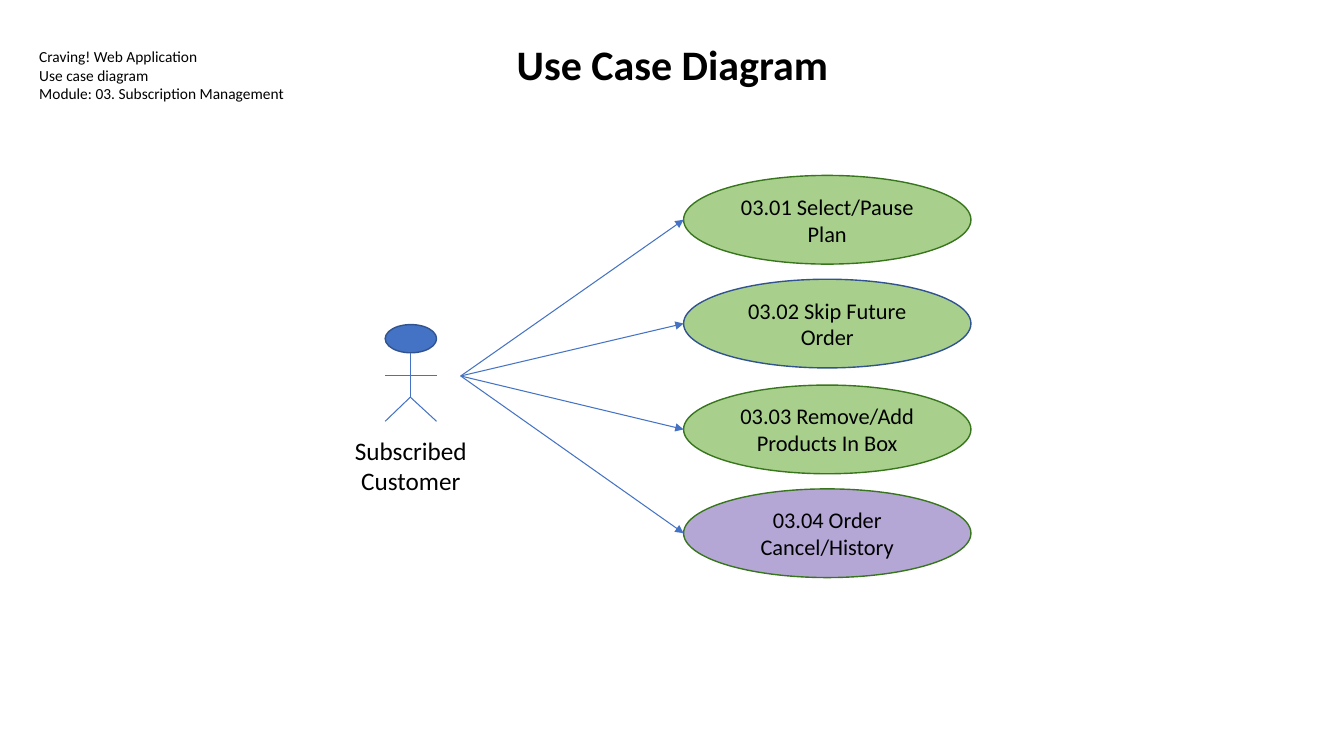
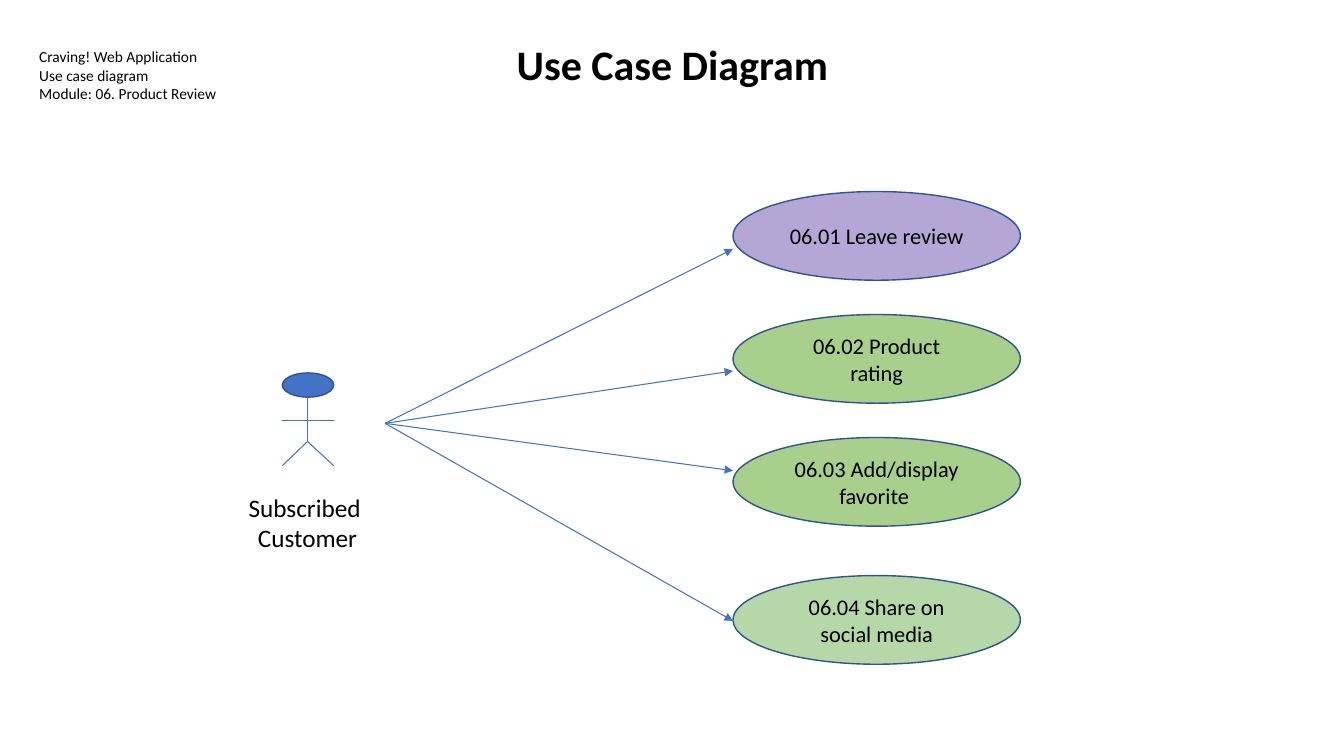
"""Build two use case diagrams from one set of drawing rules."""
from dataclasses import dataclass

from lxml import etree
from pptx import Presentation
from pptx import util as u
from pptx.dml.color import RGBColor
from pptx.enum import shapes, text
from pptx.oxml import ns
from pptx.shapes.autoshape import Shape
from pptx.slide import Slide

Point = tuple[float, float]
Box = tuple[float, float, float, float]


@dataclass(frozen=True)
class Theme:
    font: str = "Calibri"
    ink: str = "000000"
    blue: str = "4472C4"
    navy: str = "31538F"
    moss: str = "38761D"
    green: str = "A8D08C"
    mint: str = "B6D7A8"
    mauve: str = "B4A7D6"
    head: int = 30
    name: int = 18
    case: int = 16
    note: int = 11
    edge: float = 1
    thin: float = 0.75


T = Theme()
CASE_W, CASE_H = 2.85, 0.88


@dataclass(frozen=True)
class Case:
    label: str
    top: float
    fill: str = T.green
    line: str = T.navy
    drop: float = CASE_H / 2


@dataclass(frozen=True)
class Actor:
    hip: Point
    skull: float
    label: str
    box: Box


@dataclass(frozen=True)
class Page:
    module: str
    actor: Actor
    start: Point
    left: float
    cases: tuple[Case, ...]


PAGES = (
    Page(
        "03. Subscription Management",
        Actor((4.07, 3.94), 0.28, "Subscribed\nCustomer", (3.41, 4.27, 1.33, 0.71)),
        (4.57, 3.73),
        6.78,
        (
            Case("03.01 Select/Pause Plan", 1.74, line=T.moss),
            Case("03.02 Skip Future Order", 2.77),
            Case("03.03 Remove/Add Products In Box", 3.82, line=T.moss),
            Case("03.04 Order Cancel/History", 4.85, T.mauve, T.moss),
        ),
    ),
    Page(
        "06. Product Review",
        Actor((3.05, 4.38), 0.24, "Subscribed \nCustomer", (2.25, 4.83, 1.6, 0.71)),
        (3.82, 4.2),
        7.27,
        (
            Case("06.01 Leave review", 1.9, T.mauve, drop=0.57),
            Case("06.02 Product rating", 3.12, drop=0.56),
            Case("06.03 Add/display favorite ", 4.34, drop=0.33),
            Case("06.04 Share on social media", 5.71, T.mint, drop=0.45),
        ),
    ),
)


def tint(code: str) -> RGBColor:
    return RGBColor.from_string(code)


def place(box: Box) -> list[u.Length]:
    return [u.Inches(side) for side in box]


def write(
    shape: Shape,
    words: str,
    size: int,
    align: text.PP_ALIGN = text.PP_ALIGN.CENTER,
    bold: bool = False,
    anchor: text.MSO_ANCHOR = text.MSO_ANCHOR.TOP,
    pad: float = 0.05,
) -> None:
    frame = shape.text_frame
    frame.text = words
    frame.word_wrap = True
    frame.auto_size = text.MSO_AUTO_SIZE.NONE
    frame.vertical_anchor = anchor
    frame.margin_left = frame.margin_right = u.Inches(0.1)
    frame.margin_top = frame.margin_bottom = u.Inches(pad)
    for para in frame.paragraphs:
        para.alignment = align
        for run in para.runs:
            font = run.font
            font.name, font.size, font.bold = T.font, u.Pt(size), bold
            font.color.rgb = tint(T.ink)


def oval(slide: Slide, box: Box, fill: str, line: str) -> Shape:
    shape = slide.shapes.add_shape(shapes.MSO_SHAPE.OVAL, *place(box))
    shape.shadow.inherit = False
    shape.fill.solid()
    shape.fill.fore_color.rgb = tint(fill)
    shape.line.color.rgb = tint(line)
    shape.line.width = u.Pt(T.edge)
    return shape


def link(slide: Slide, start: Point, end: Point, arrow: bool = False) -> None:
    wire = slide.shapes.add_connector(
        shapes.MSO_CONNECTOR.STRAIGHT, *place((*start, *end))
    )
    wire.line.color.rgb = tint(T.blue)
    wire.line.width = u.Pt(T.thin)
    if arrow:
        tail = etree.SubElement(wire.line._get_or_add_ln(), ns.qn("a:tailEnd"))
        tail.set("type", "triangle")
    etree.SubElement(wire._element.spPr, ns.qn("a:effectLst"))


def draw_head(slide: Slide, module: str) -> None:
    title = slide.shapes.title
    title.left, title.top, title.width, title.height = place((4.85, 0.28, 3.64, 0.71))
    write(title, "Use Case Diagram", T.head, bold=True, pad=0.1)
    note = slide.shapes.add_textbox(*place((0.29, 0.37, 2.78, 0.95)))
    words = f"Craving! Web Application\nUse case diagram\nModule: {module}"
    write(note, words, T.note, text.PP_ALIGN.LEFT, pad=0.1)


def draw_actor(slide: Slide, actor: Actor) -> None:
    x, hip = actor.hip
    neck, arms, feet = hip - 0.44, hip - 0.21, hip + 0.24
    left, right = x - 0.25, x + 0.26
    skull = (left, neck - actor.skull, right - left, actor.skull)
    oval(slide, skull, T.blue, T.navy)
    link(slide, (x, neck), (x, hip))
    link(slide, (left, arms), (right, arms))
    for foot in (left, right):
        link(slide, (x, hip), (foot, feet))
    write(slide.shapes.add_textbox(*place(actor.box)), actor.label, T.name)


def draw_case(slide: Slide, page: Page, case: Case) -> None:
    shape = oval(slide, (page.left, case.top, CASE_W, CASE_H), case.fill, case.line)
    write(shape, case.label, T.case, anchor=text.MSO_ANCHOR.MIDDLE)
    link(slide, page.start, (page.left, case.top + case.drop), arrow=True)


def main() -> None:
    deck = Presentation()
    deck.slide_width, deck.slide_height = u.Inches(13.33), u.Inches(7.5)
    plain = deck.slide_layouts.get_by_name("Title Only")
    for page in PAGES:
        slide = deck.slides.add_slide(plain)
        draw_head(slide, page.module)
        draw_actor(slide, page.actor)
        for case in page.cases:
            draw_case(slide, page, case)
    deck.save("out.pptx")


main()
